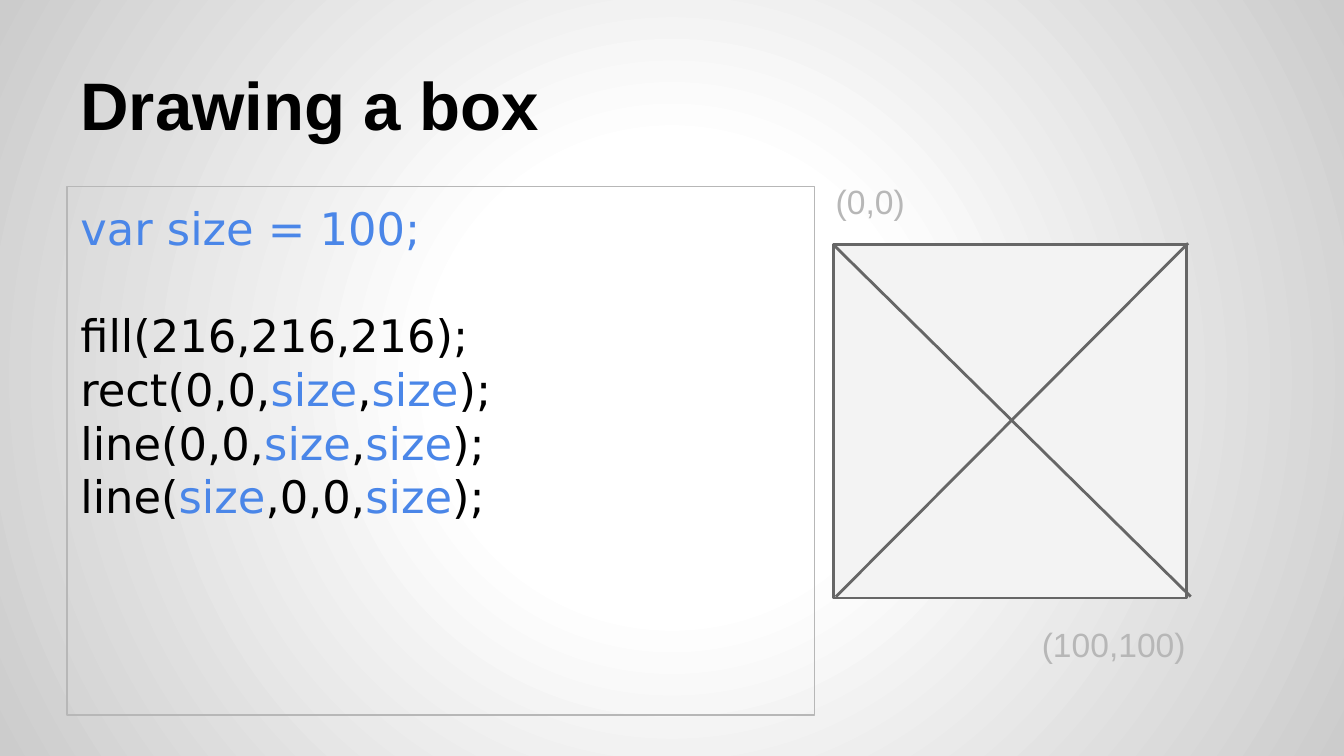
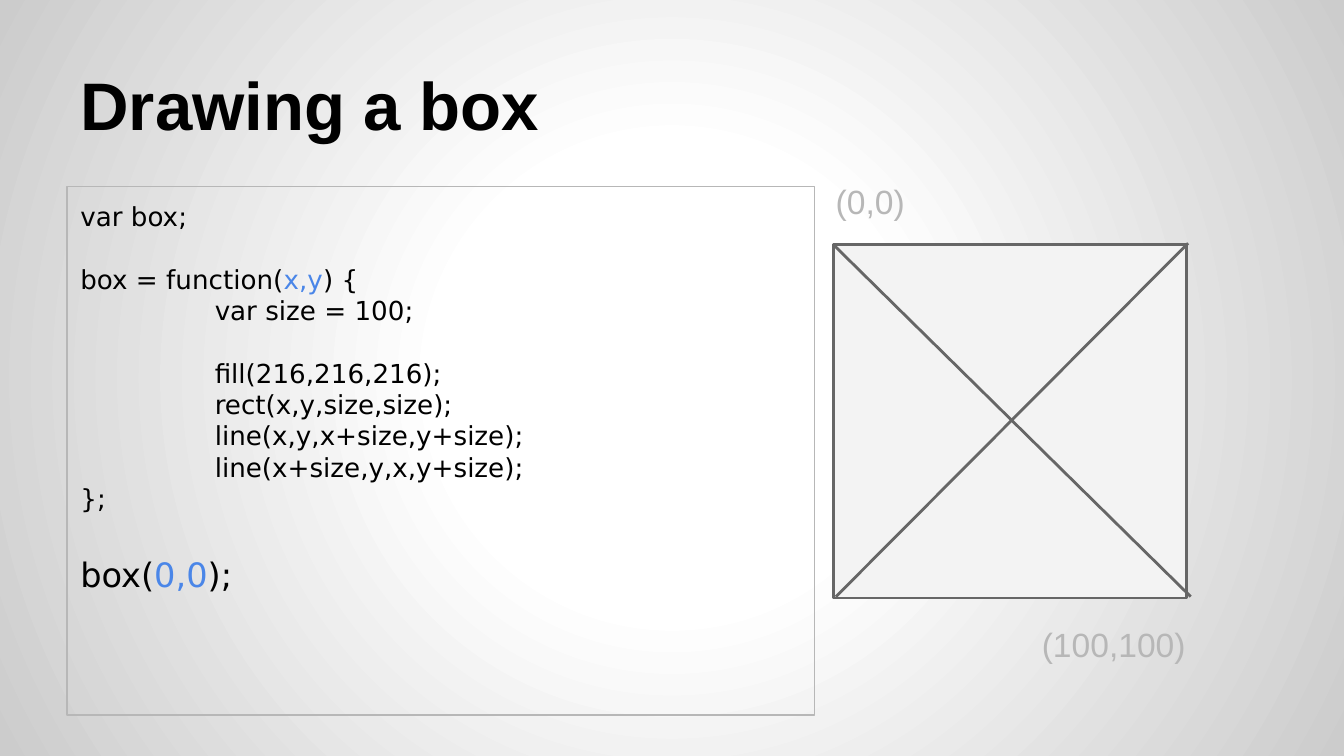
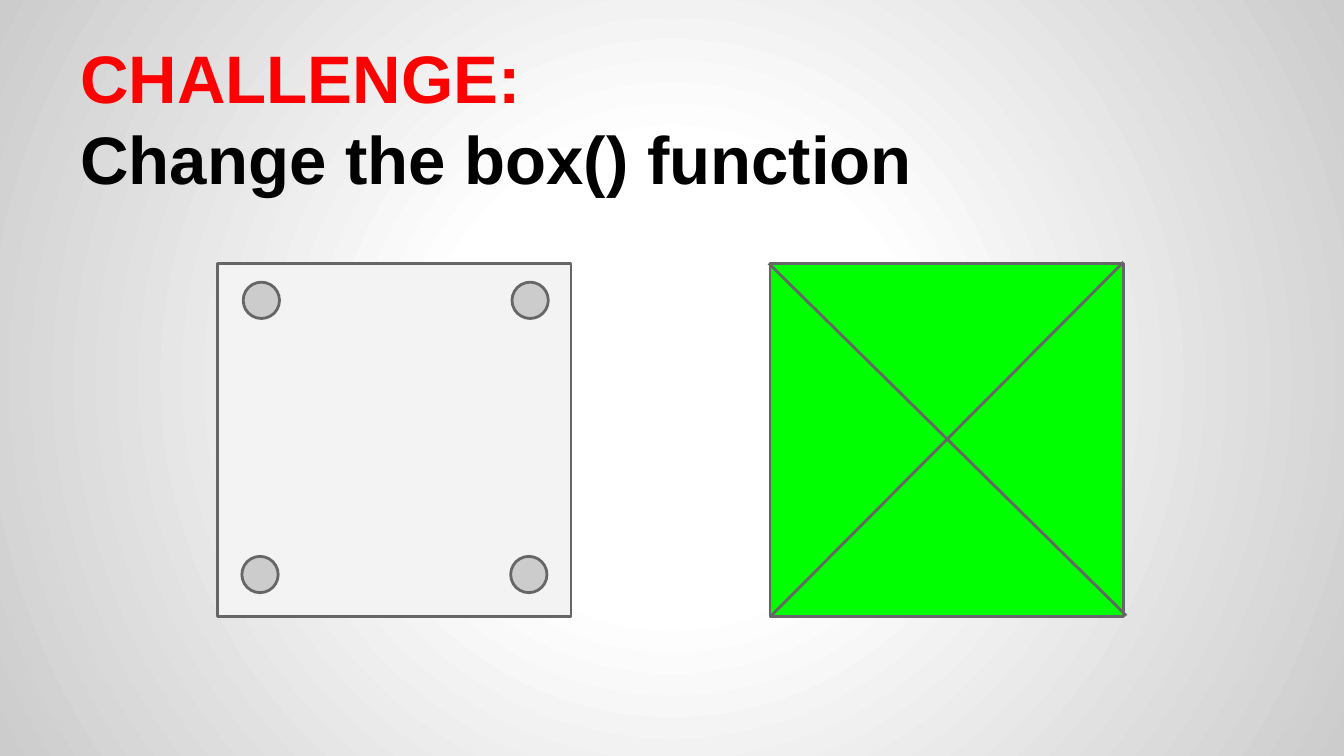
from dataclasses import dataclass
from typing import NamedTuple

import pptx
import pptx.dml.color
import pptx.enum.shapes
import pptx.enum.text
import pptx.oxml
import pptx.oxml.ns
import pptx.presentation
import pptx.shapes.autoshape
import pptx.shapes.shapetree
import pptx.slide
import pptx.util
from pptx.util import Inches

COLORS = {
    "white": "FFFFFF",
    "edge": "CCCCCC",
    "text": "000000",
    "accent": "4A86E8",
    "challenge": "FF0000",
    "label": "B7B7B7",
    "box": "F3F3F3",
    "green": "00FF00",
    "bolt": "CCCCCC",
    "outline": "666666",
}
BOX_SIDE = 2.63
BOLT_SIDE = 0.27
PADDING = Inches(0.1)
RECTANGLE = pptx.enum.shapes.MSO_SHAPE.RECTANGLE
OVAL = pptx.enum.shapes.MSO_SHAPE.OVAL
TOP = pptx.enum.text.MSO_ANCHOR.TOP
BOTTOM = pptx.enum.text.MSO_ANCHOR.BOTTOM
LEFT = pptx.enum.text.PP_ALIGN.LEFT
RIGHT = pptx.enum.text.PP_ALIGN.RIGHT

Shapes = pptx.shapes.shapetree.SlideShapes | pptx.shapes.shapetree.GroupShapes


class Area(NamedTuple):
    left: float
    top: float
    width: float
    height: float

    def lengths(self) -> list[pptx.util.Length]:
        return [Inches(value) for value in self]


class Line(NamedTuple):
    """Text in which every second part between bars takes the accent colour."""

    text: str
    size: int
    gap: float = 0
    indent: float = 0


@dataclass(frozen=True)
class Style:
    font: str
    color: str
    accent: str = "accent"
    bold: bool = False
    anchor: pptx.enum.text.MSO_ANCHOR = TOP
    align: pptx.enum.text.PP_ALIGN = LEFT


TITLE = Style("Arial", "text", "challenge", bold=True, anchor=BOTTOM)
CODE = Style("DejaVu Sans", "text")
START_LABEL = Style("Arial", "label")
END_LABEL = Style("Arial", "label", align=RIGHT)

TITLE_AREA = Area(0.5, 0.23, 9, 0.94)
CHALLENGE_AREA = Area(0.5, -0.02, 9, 1.59)
CODE_AREA = Area(0.5, 1.39, 5.56, 3.93)

SIZE_CODE = [
    Line("|var size = 100;|", 24),
    Line("fill(216,216,216);", 24, gap=28.8),
    Line("rect(0,0,|size|,|size|);", 24),
    Line("line(0,0,|size|,|size|);", 24),
    Line("line(|size|,0,0,|size|);", 24),
]
FUNCTION_CODE = [
    Line("var box;", 14),
    Line("box = function(|x,y|) {", 14, gap=16.8),
    Line("var size = 100;", 14, indent=1),
    Line("fill(216,216,216);", 14, gap=16.8, indent=1),
    Line("rect(x,y,size,size);", 14, indent=1),
    Line("line(x,y,x+size,y+size);", 14, indent=1),
    Line("line(x+size,y,x,y+size);", 14, indent=1),
    Line("};", 14),
    Line("box(|0,0|);", 18, gap=21.6),
]


def rgb(name: str) -> pptx.dml.color.RGBColor:
    return pptx.dml.color.RGBColor.from_string(COLORS[name])


def set_background(master: pptx.slide.SlideMaster) -> None:
    master.background.fill.solid()
    solid = master.element.xpath(".//p:bgPr/a:solidFill")[0]
    stops = "".join(
        f'<a:gs pos="{position * 1000}"><a:srgbClr val="{COLORS[name]}"/></a:gs>'
        for position, name in ((0, "white"), (30, "white"), (100, "edge"))
    )
    gradient = pptx.oxml.parse_xml(
        f'<a:gradFill {pptx.oxml.ns.nsdecls("a")}><a:gsLst>{stops}</a:gsLst>'
        '<a:path path="circle">'
        '<a:fillToRect l="50000" t="50000" r="50000" b="50000"/>'
        "</a:path></a:gradFill>"
    )
    solid.getparent().replace(solid, gradient)


def add_text(
    shapes: Shapes, area: Area, lines: list[Line], style: Style
) -> pptx.shapes.autoshape.Shape:
    box = shapes.add_textbox(*area.lengths())
    frame = box.text_frame
    frame.word_wrap = True
    frame.vertical_anchor = style.anchor
    frame.margin_left = frame.margin_right = PADDING
    frame.margin_top = frame.margin_bottom = PADDING
    for index, line in enumerate(lines):
        para = frame.add_paragraph() if index else frame.paragraphs[0]
        para.alignment = style.align
        para.space_before = pptx.util.Pt(line.gap)
        if line.indent:
            para._p.get_or_add_pPr().set("marL", str(Inches(line.indent)))
        for part, text in enumerate(line.text.split("|")):
            if not text:
                continue
            span = para.add_run()
            span.text = text
            span.font.name = style.font
            span.font.size = pptx.util.Pt(line.size)
            span.font.bold = style.bold
            span.font.color.rgb = rgb(style.accent if part % 2 else style.color)
    return box


def add_figure(
    shapes: Shapes, kind: pptx.enum.shapes.MSO_SHAPE, area: Area, fill: str
) -> None:
    figure = shapes.add_shape(kind, *area.lengths())
    figure.shadow.inherit = False
    figure.fill.solid()
    figure.fill.fore_color.rgb = rgb(fill)
    figure.line.color.rgb = rgb("outline")
    figure.line.width = pptx.util.Pt(1.5)


def add_box(shapes: Shapes, left: float, top: float, fill: str) -> None:
    add_figure(shapes, RECTANGLE, Area(left, top, BOX_SIDE, BOX_SIDE), fill)


def add_cross(shapes: Shapes, left: float, top: float) -> None:
    bottom = top + 2.62
    for start_x, start_y, end_x in (
        (left, top, left + 2.66),
        (left + 2.64, top - 0.01, left + 0.02),
    ):
        diagonal = shapes.add_connector(
            pptx.enum.shapes.MSO_CONNECTOR.STRAIGHT,
            Inches(start_x), Inches(start_y), Inches(end_x), Inches(bottom),
        )
        diagonal.line.color.rgb = rgb("outline")
        diagonal.line.width = pptx.util.Pt(1.5)
        properties = diagonal._element.spPr
        properties.append(
            pptx.oxml.parse_xml(f'<a:effectLst {pptx.oxml.ns.nsdecls("a")}/>')
        )


def add_labelled_box(shapes: Shapes) -> None:
    left, top = 6.2, 1.82
    add_box(shapes, left, top, "box")
    add_cross(shapes, left, top)
    add_text(shapes, Area(6.12, 1.25, 1.74, 0.57), [Line("(0,0)", 18)], START_LABEL)
    add_text(shapes, Area(7.18, 4.54, 1.74, 0.57), [Line("(100,100)", 18)], END_LABEL)


def add_page(deck: pptx.presentation.Presentation) -> pptx.slide.Slide:
    return deck.slides.add_slide(deck.slide_layouts[6])


def add_code_page(
    deck: pptx.presentation.Presentation, code: list[Line]
) -> pptx.slide.Slide:
    page = add_page(deck)
    panel = add_text(page.shapes, CODE_AREA, code, CODE)
    panel.line.color.rgb = rgb("label")
    panel.line.width = pptx.util.Pt(0.75)
    add_text(page.shapes, TITLE_AREA, [Line("Drawing a box", 36)], TITLE)
    return page


def add_challenge_page(deck: pptx.presentation.Presentation) -> None:
    shapes = add_page(deck).shapes
    title = [Line("|CHALLENGE:|", 36), Line("Change the box() function", 36)]
    add_text(shapes, CHALLENGE_AREA, title, TITLE)
    top = 1.96
    add_box(shapes, 1.62, top, "box")
    for row_left, row_top in ((1.81, 2.1), (1.8, 4.14)):
        for column in range(2):
            area = Area(row_left + 2 * column, row_top, BOLT_SIDE, BOLT_SIDE)
            add_figure(shapes, OVAL, area, "bolt")
    add_box(shapes, 5.73, top, "green")
    add_cross(shapes, 5.72, top)


def main() -> None:
    deck = pptx.Presentation()
    deck.slide_width = Inches(10)
    deck.slide_height = deck.slide_width * 9 // 16
    set_background(deck.slide_master)
    add_labelled_box(add_code_page(deck, SIZE_CODE).shapes)
    function_page = add_code_page(deck, FUNCTION_CODE)
    add_labelled_box(function_page.shapes.add_group_shape().shapes)
    add_challenge_page(deck)
    deck.save("out.pptx")


if __name__ == "__main__":
    main()
